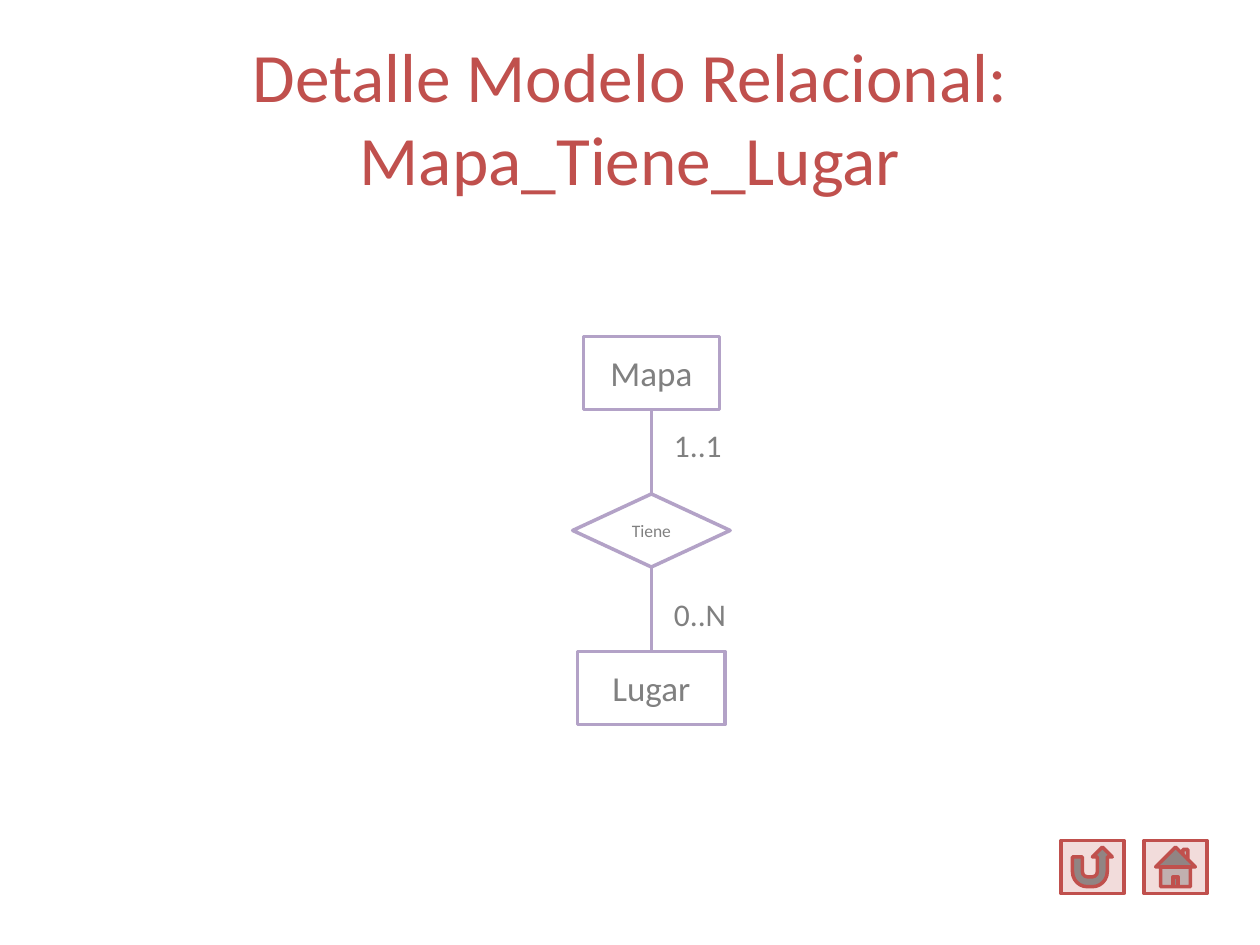
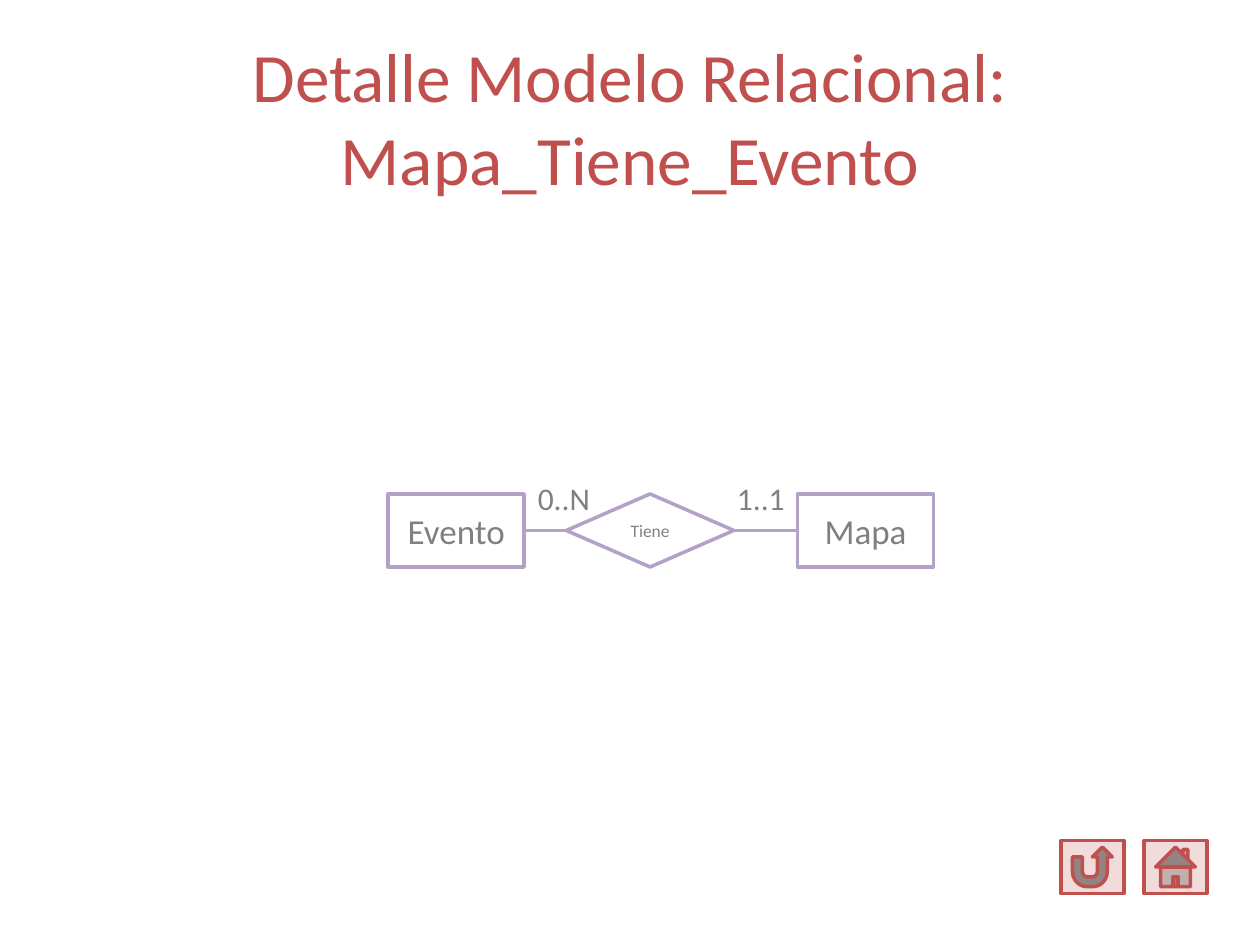
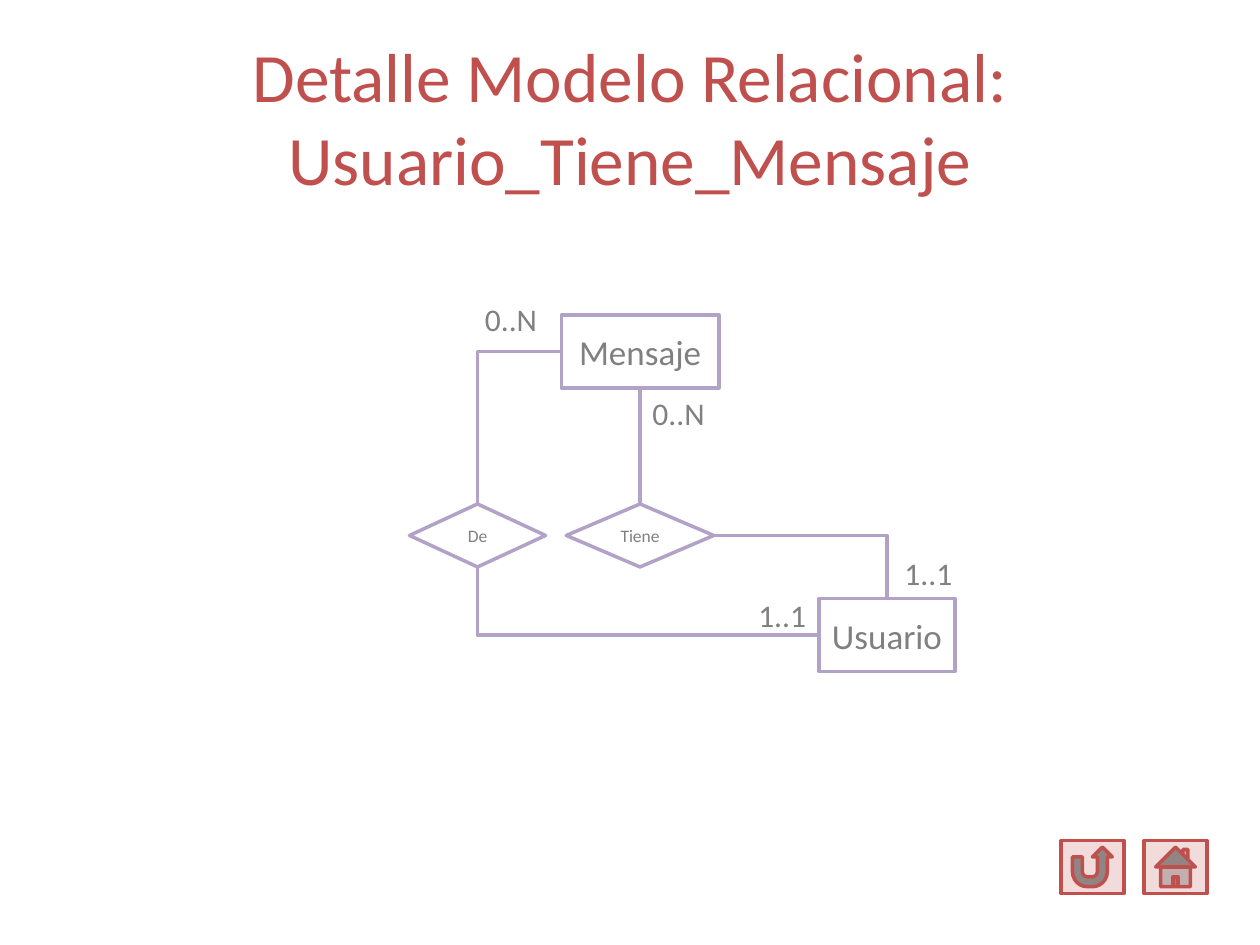
import pptx
import pptx.util
import pptx.dml.color
import pptx.enum.shapes
import pptx.enum.text
import pptx.oxml
import pptx.oxml.ns

Inches = pptx.util.Inches
SHAPE = pptx.enum.shapes.MSO_SHAPE
CONNECTOR = pptx.enum.shapes.MSO_CONNECTOR
ALIGN = pptx.enum.text.PP_ALIGN
ANCHOR = pptx.enum.text.MSO_ANCHOR

COLORS = {
    "title": "C0504D",
    "button": "F2DCDB",
    "line": "B3A2C7",
    "text": "808080",
    "paper": "FFFFFF",
}
LINE_WIDTH = pptx.util.Pt(2)
TITLE_BOX = (0.5, 0.3, 9, 1.25)
BUTTONS_BOX = (8.42, 6.67, 1.16, 0.42)
BUTTON_WIDTH = 0.5
LABEL_SIZE = (0.67, 0.4)
TOP, LEFT, BOTTOM, RIGHT = range(4)
NODE_KINDS = {"entity": (SHAPE.RECTANGLE, 20), "relation": (SHAPE.DIAMOND, 10)}


def rgb(name):
    return pptx.dml.color.RGBColor.from_string(COLORS[name])


def apply(target, values):
    for name, value in values.items():
        setattr(target, name, value)


def write(shape, text, size, color="text", align=ALIGN.CENTER, anchor=ANCHOR.MIDDLE, **frame):
    tf = shape.text_frame
    apply(tf, {"word_wrap": True, "vertical_anchor": anchor, **frame})
    p = tf.paragraphs[0]
    p.text = text
    p.alignment = align
    for r in p.runs:
        apply(r.font, {"name": "Calibri", "size": pptx.util.Pt(size)})
        r.font.color.rgb = rgb(color)


def add_outlined(s, kind, box, fill, line):
    sp = s.shapes.add_shape(kind, *map(Inches, box))
    sp.shadow.inherit = False
    sp.fill.solid()
    sp.fill.fore_color.rgb = rgb(fill)
    sp.line.color.rgb = rgb(line)
    sp.line.width = LINE_WIDTH
    return sp


def add_title(s, box, name):
    tb = s.shapes.add_textbox(*map(Inches, box))
    write(tb, "Detalle Modelo Relacional:\v" + name, 39.6, "title")


def add_buttons(s, box):
    left, top, width, height = box
    kinds = (SHAPE.ACTION_BUTTON_RETURN, SHAPE.ACTION_BUTTON_HOME)
    for i, kind in enumerate(kinds):
        x = left + i * (width - BUTTON_WIDTH)
        add_outlined(s, kind, (x, top, BUTTON_WIDTH, height), "button", "title")


def add_node(s, origin, name, kind, center, size):
    shape, points = NODE_KINDS[kind]
    corner = [o + c - d / 2 for o, c, d in zip(origin, center, size)]
    sp = add_outlined(s, shape, (*corner, *size), "paper", "line")
    write(sp, name, points, margin_left=0, margin_right=0)
    return sp


def add_link(s, start, start_site, end, end_site):
    bent = start_site % 2 != end_site % 2
    kind = CONNECTOR.ELBOW if bent else CONNECTOR.STRAIGHT
    c = s.shapes.add_connector(kind, 0, 0, 0, 0)
    c.begin_connect(start, start_site)
    c.end_connect(end, end_site)
    c.line.color.rgb = rgb("line")
    c.line.width = LINE_WIDTH
    spPr = c._element.spPr
    if bent:
        spPr.find(pptx.oxml.ns.qn("a:prstGeom")).set("prst", "bentConnector2")
    spPr.append(pptx.oxml.parse_xml("<a:effectLst %s/>" % pptx.oxml.ns.nsdecls("a")))


def add_label(s, origin, text, offset):
    corner = [o + d for o, d in zip(origin, offset)]
    tb = s.shapes.add_textbox(*map(Inches, (*corner, *LABEL_SIZE)))
    write(tb, text, 18, align=ALIGN.LEFT, anchor=ANCHOR.TOP,
          auto_size=pptx.enum.text.MSO_AUTO_SIZE.SHAPE_TO_FIT_TEXT)


def add_diagram(s, origin, nodes, links, labels):
    placed = {node[0]: add_node(s, origin, *node) for node in nodes}
    for start, start_site, end, end_site in links:
        add_link(s, placed[start], start_site, placed[end], end_site)
    for text, offset in labels:
        add_label(s, origin, text, offset)


DIAGRAMS = [
    {
        "name": "Mapa_Tiene_Lugar",
        "origin": (4.55, 2.67),
        "nodes": [
            ("Mapa", "entity", (0.62, 0.29), (1.08, 0.58)),
            ("Tiene", "relation", (0.62, 1.54), (1.25, 0.58)),
            ("Lugar", "entity", (0.62, 2.79), (1.17, 0.58)),
        ],
        "links": [
            ("Mapa", BOTTOM, "Tiene", TOP),
            ("Tiene", BOTTOM, "Lugar", TOP),
        ],
        "labels": [("1..1", (0.7, 0.66)), ("0..N", (0.7, 2))],
    },
    {
        "name": "Mapa_Tiene_Evento",
        "origin": (3.08, 3.92),
        "nodes": [
            ("Evento", "entity", (0.54, 0.29), (1.08, 0.58)),
            ("Tiene", "relation", (2.08, 0.29), (1.33, 0.58)),
            ("Mapa", "entity", (3.79, 0.29), (1.08, 0.58)),
        ],
        "links": [
            ("Evento", RIGHT, "Tiene", LEFT),
            ("Tiene", RIGHT, "Mapa", LEFT),
        ],
        "labels": [("0..N", (1.09, -0.17)), ("1..1", (2.67, -0.17))],
    },
    {
        "name": "Usuario_Tiene_Mensaje",
        "origin": (3.25, 2.33),
        "nodes": [
            ("Mensaje", "entity", (1.83, 0.46), (1.25, 0.58)),
            ("De", "relation", (0.54, 1.92), (1.08, 0.5)),
            ("Tiene", "relation", (1.83, 1.92), (1.17, 0.5)),
            ("Usuario", "entity", (3.79, 2.71), (1.08, 0.58)),
        ],
        "links": [
            ("Mensaje", LEFT, "De", TOP),
            ("Mensaje", BOTTOM, "Tiene", TOP),
            ("Tiene", RIGHT, "Usuario", TOP),
            ("Usuario", LEFT, "De", BOTTOM),
        ],
        "labels": [
            ("0..N", (0.5, 0)),
            ("0..N", (1.83, 0.75)),
            ("1..1", (3.83, 2.02)),
            ("1..1", (2.67, 2.35)),
        ],
    },
]

prs = pptx.Presentation()
prs.slide_width = Inches(10)
prs.slide_height = Inches(7.5)
for diagram in DIAGRAMS:
    s = prs.slides.add_slide(prs.slide_layouts[6])
    add_title(s, TITLE_BOX, diagram["name"])
    add_diagram(s, diagram["origin"], diagram["nodes"], diagram["links"], diagram["labels"])
    add_buttons(s, BUTTONS_BOX)
prs.save("out.pptx")
